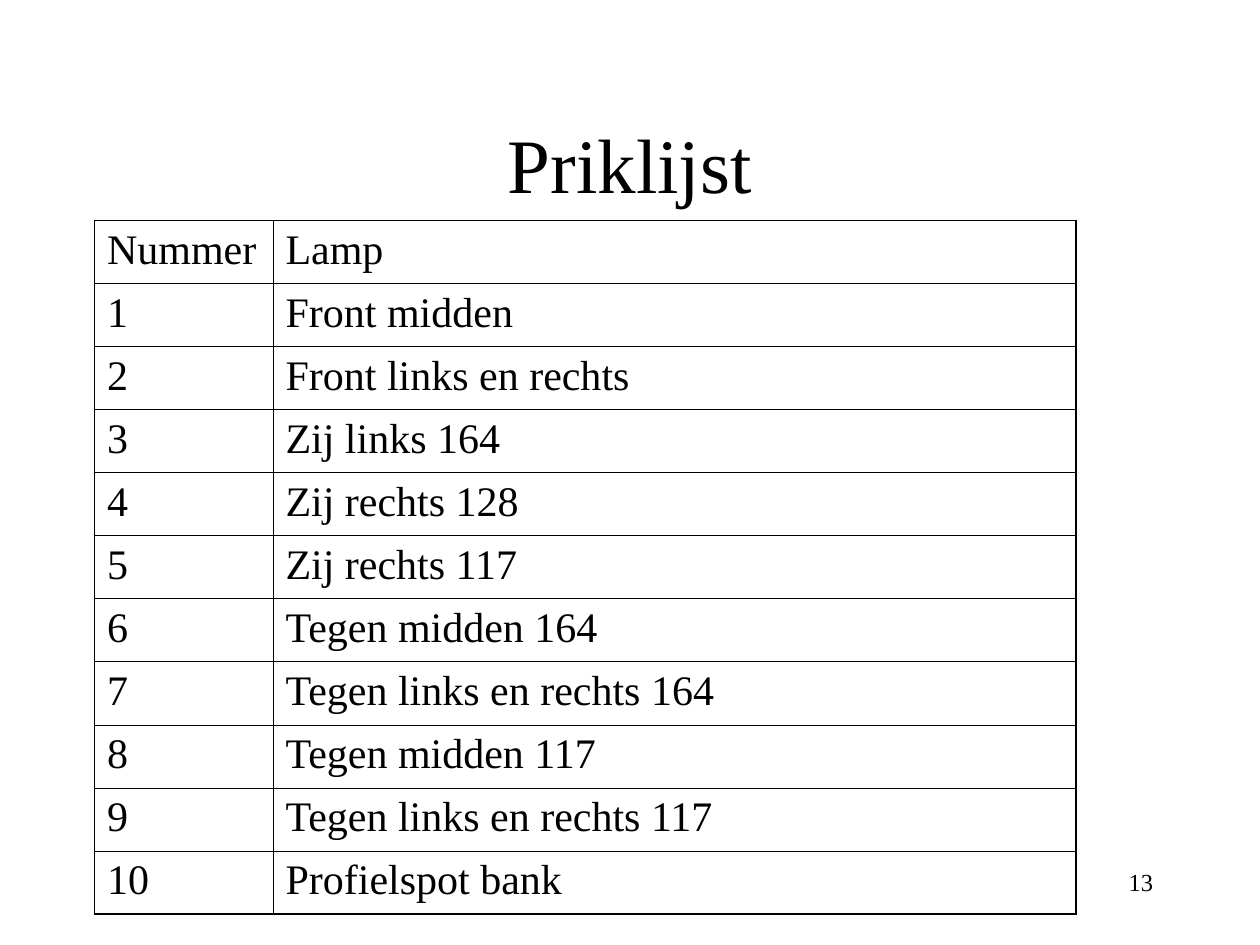
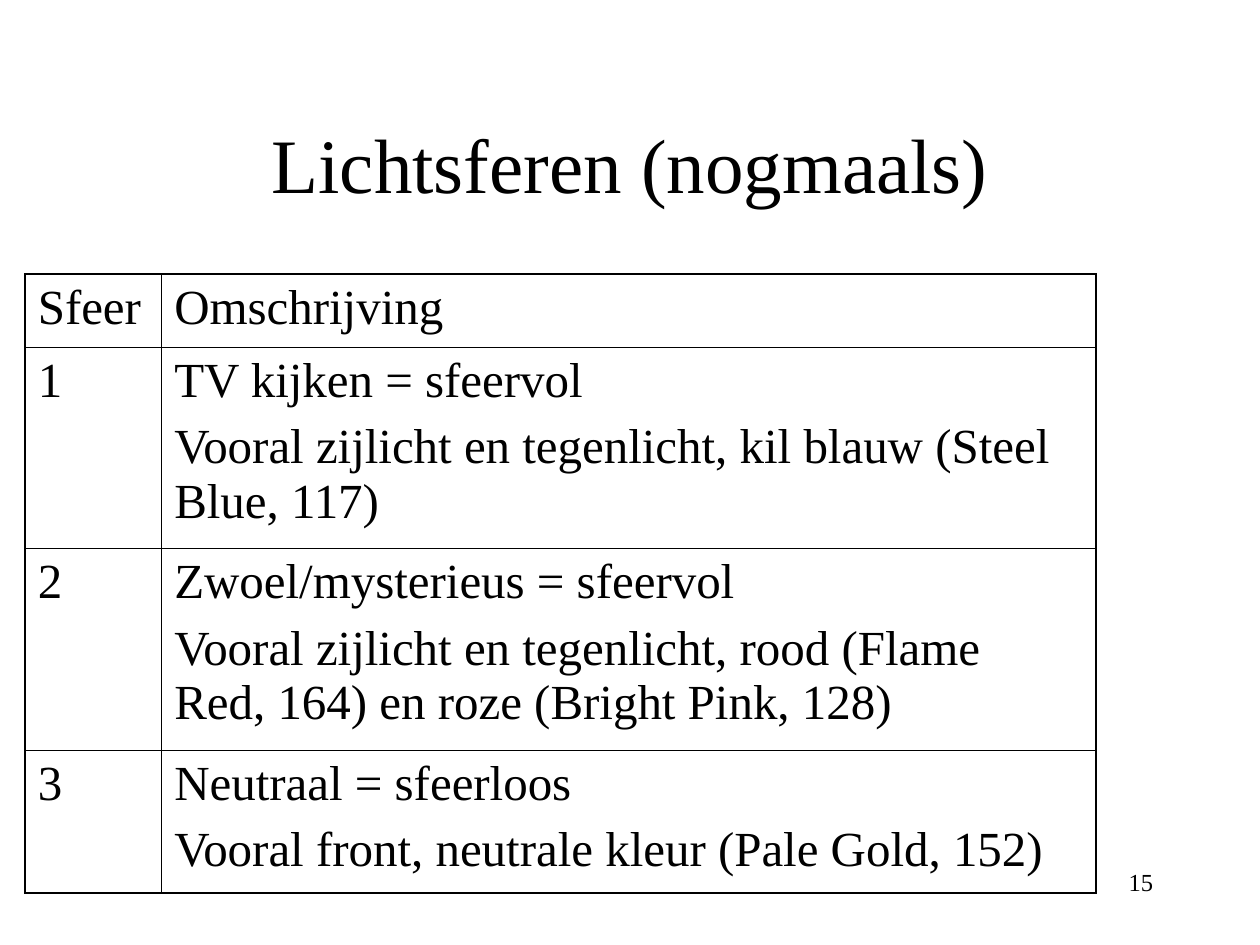
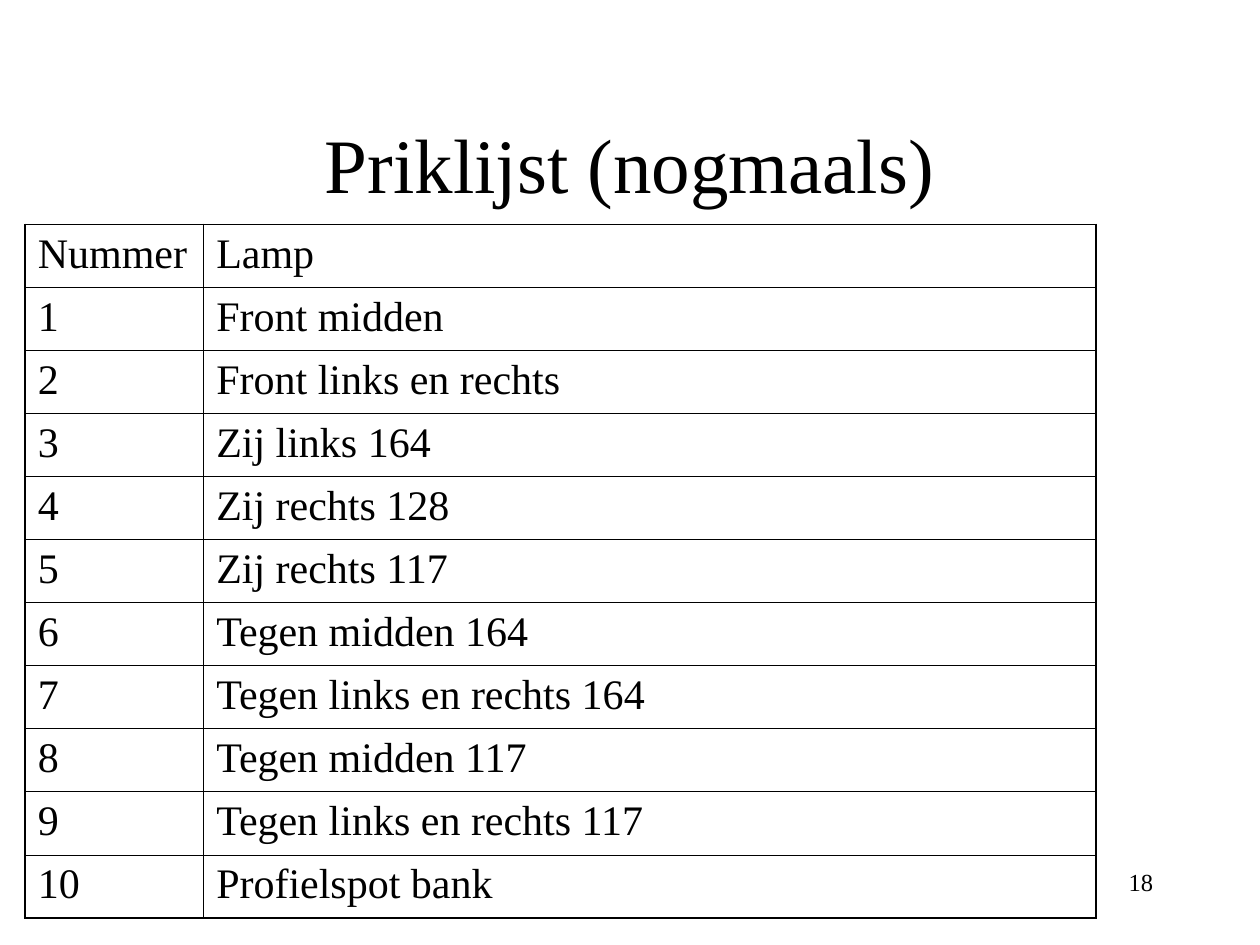
from dataclasses import dataclass

from lxml.etree import SubElement as Sub
from pptx import Presentation
from pptx.dml.color import RGBColor as Rgb
from pptx.enum.text import MSO_ANCHOR as Anchor, MSO_AUTO_SIZE as Fit, PP_ALIGN as Align
from pptx.oxml.ns import qn
from pptx.util import Pt


@dataclass(frozen=True)
class Theme:
    """Fonts, colours, type sizes and line widths of the deck."""
    font: str = "Times New Roman"
    ink: str = "000000"
    head: int = 44
    list: int = 24
    mood: int = 28
    page: int = 14
    thick: float = 1.08
    thin: float = 0.45


THEME = Theme()
LAMPS = [
    ["Nummer", "Lamp"],
    ["1", "Front midden"],
    ["2", "Front links en rechts"],
    ["3", "Zij links 164"],
    ["4", "Zij rechts 128"],
    ["5", "Zij rechts 117"],
    ["6", "Tegen midden 164"],
    ["7", "Tegen links en rechts 164"],
    ["8", "Tegen midden 117"],
    ["9", "Tegen links en rechts 117"],
    ["10", "Profielspot bank"],
]
MOODS = [
    ["Sfeer", "Omschrijving"],
    ["1", "TV kijken = sfeervol\n"
          "Vooral zijlicht en tegenlicht, kil blauw (Steel Blue, 117)"],
    ["2", "Zwoel/mysterieus = sfeervol\n"
          "Vooral zijlicht en tegenlicht, rood (Flame Red, 164) en roze (Bright Pink, 128)"],
    ["3", "Neutraal = sfeerloos\n"
          "Vooral front, neutrale kleur (Pale Gold, 152)"],
]
LAMP_ROWS = [35.87] * len(LAMPS)
MOOD_ROWS = [41.9, 114.8, 114.8, 81.3]


def write(frame, text, size, align=Align.LEFT):
    """Fill a text frame, one paragraph per line of text."""
    frame.word_wrap = True
    for i, line in enumerate(text.split("\n")):
        para = frame.add_paragraph() if i else frame.paragraphs[0]
        para.alignment = align
        para.space_before = Pt(size / 4 if i else 0)
        run = para.add_run()
        run.text = line
        run.font.name = THEME.font
        run.font.size = Pt(size)
        run.font.color.rgb = Rgb.from_string(THEME.ink)


def place(shape, left, top, width, height):
    """Move and size a shape in points."""
    shape.left, shape.top = Pt(left), Pt(top)
    shape.width, shape.height = Pt(width), Pt(height)


def edge(cell, outer):
    """Draw the four borders of a cell, thick where it meets the outside."""
    props = cell._tc.get_or_add_tcPr()
    for side in "LRTB":
        width = THEME.thick if side in outer else THEME.thin
        line = Sub(props, qn(f"a:ln{side}"), w=str(Pt(width)))
        Sub(Sub(line, qn("a:solidFill")), qn("a:srgbClr"), val=THEME.ink)


def add_grid(slide, rows, left, top, cols, highs, size):
    """Add a ruled table without fill."""
    table = slide.shapes.add_table(
        len(rows), len(cols), Pt(left), Pt(top), Pt(sum(cols)), Pt(sum(highs))).table
    table.first_row = table.horz_banding = False
    for col, width in zip(table.columns, cols):
        col.width = Pt(width)
    for r, (row, high) in enumerate(zip(rows, highs)):
        table.rows[r].height = Pt(high)
        for c, text in enumerate(row):
            cell = table.cell(r, c)
            sides = {"L": c == 0, "R": c == len(cols) - 1,
                     "T": r == 0, "B": r == len(rows) - 1}
            edge(cell, [side for side, on in sides.items() if on])
            cell.fill.background()
            write(cell.text_frame, text, size)


def add_page(deck, title, number):
    """Add a slide with its title and page number."""
    slide = deck.slides.add_slide(deck.slide_layouts[5])
    head = slide.shapes.title
    place(head, 54, 48, 612, 90)
    head.text_frame.auto_size = Fit.NONE
    head.text_frame.vertical_anchor = Anchor.MIDDLE
    write(head.text_frame, title, THEME.head, Align.CENTER)
    box = slide.shapes.add_textbox(Pt(516), Pt(492), Pt(150), Pt(36))
    write(box.text_frame, str(number), THEME.page, Align.RIGHT)
    return slide


def main():
    """Build the deck."""
    deck = Presentation()
    deck.slide_width, deck.slide_height = Pt(720), Pt(540)
    page = add_page(deck, "Priklijst", 13)
    add_grid(page, LAMPS, 54, 126, [102, 459], LAMP_ROWS, THEME.list)
    page = add_page(deck, "Lichtsferen (nogmaals)", 15)
    add_grid(page, MOODS, 14.4, 156.6, [78, 534], MOOD_ROWS, THEME.mood)
    page = add_page(deck, "Priklijst (nogmaals)", 18)
    add_grid(page, LAMPS, 14.4, 128.2, [102, 510], LAMP_ROWS, THEME.list)
    deck.save("out.pptx")


if __name__ == "__main__":
    main()
